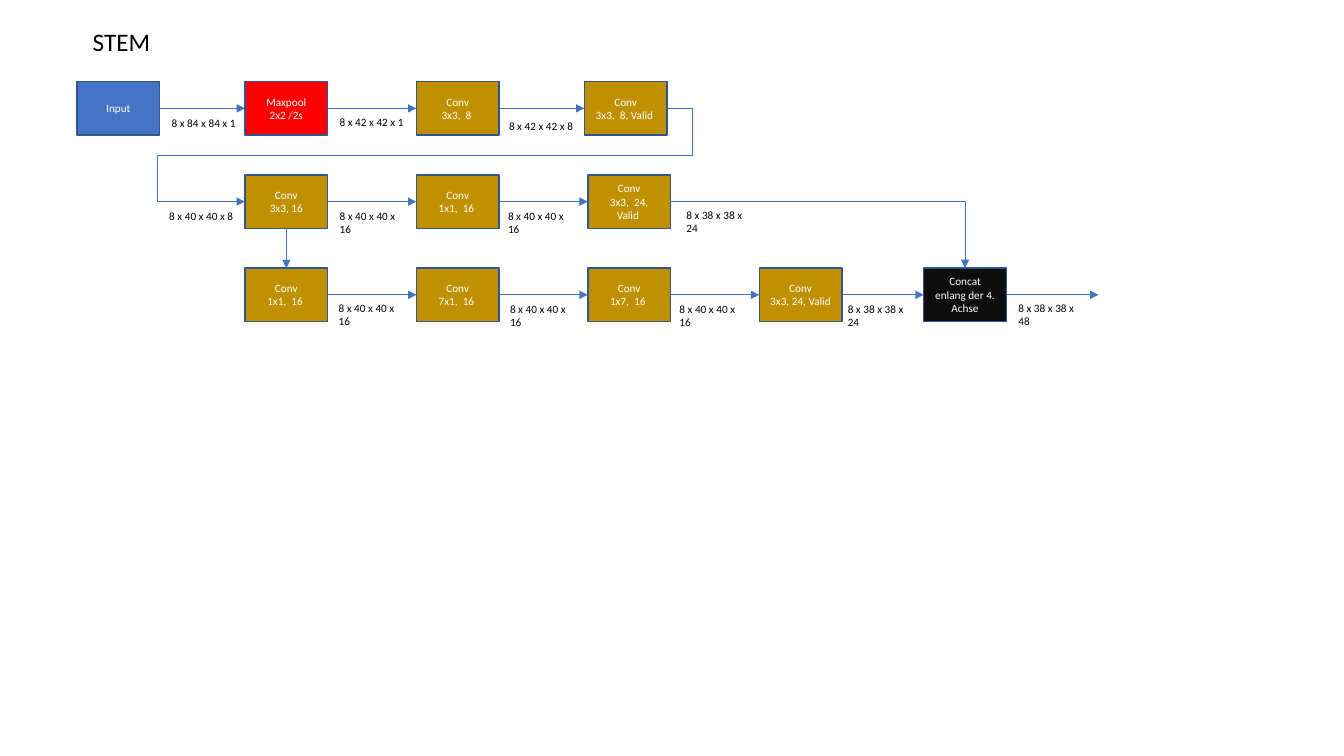
from pptx import Presentation
from pptx import util as u
from pptx.dml.color import RGBColor
from pptx.enum import shapes, text
from pptx.oxml.ns import qn
from lxml import etree

BLUE, RED, GOLD, BLACK = "4472C4", "FF0000", "BF9000", "0D0D0D"
BORDER, WHITE, INK = "325491", "FFFFFF", "000000"

# Grid in inches: a layer sits at the start of each column and row
GRID_LEFT, GRID_TOP = 0.73, 0.81
COLUMN, ROW = 1.7, 0.925
LAYER_W, LAYER_H = 0.82, 0.53
SIZE_W, SIZE_H = 0.85, 0.24

deck = Presentation()
deck.slide_width, deck.slide_height = u.Inches(13.33), u.Inches(7.5)
slide = deck.slides.add_slide(deck.slide_layouts[6])


def rgb(value):
    return RGBColor.from_string(value)


def column_x(column):
    return GRID_LEFT + column * COLUMN


def row_y(row):
    return GRID_TOP + row * ROW


def write(frame, words, size, color, align):
    frame.text = words
    for paragraph in frame.paragraphs:
        paragraph.alignment = align
        for run in paragraph.runs:
            run.font.size = u.Pt(size)
            run.font.name = "Calibri"
            run.font.color.rgb = rgb(color)


def label(x, y, w, h, words, size=8, wrap=True):
    box = slide.shapes.add_textbox(*map(u.Inches, (x, y, w, h)))
    box.text_frame.word_wrap = wrap
    write(box.text_frame, words, size, INK, text.PP_ALIGN.LEFT)


def layer(x, y, words, fill):
    block = slide.shapes.add_shape(
        shapes.MSO_SHAPE.RECTANGLE, *map(u.Inches, (x, y, LAYER_W, LAYER_H)))
    block.shadow.inherit = False
    block.fill.solid()
    block.fill.fore_color.rgb = rgb(fill)
    block.line.color.rgb = rgb(BORDER)
    block.line.width = u.Pt(1)
    block.text_frame.word_wrap = True
    block.text_frame.vertical_anchor = text.MSO_ANCHOR.MIDDLE
    write(block.text_frame, words, 8, WHITE, text.PP_ALIGN.CENTER)


def arrow(start, end, bend=None, adjust=()):
    kind = shapes.MSO_CONNECTOR.ELBOW if bend else shapes.MSO_CONNECTOR.STRAIGHT
    link = slide.shapes.add_connector(kind, *map(u.Inches, (*start, *end)))
    link.line.color.rgb = rgb(BLUE)
    link.line.width = u.Pt(0.5)
    etree.SubElement(link.line._get_or_add_ln(), qn("a:tailEnd"), type="triangle")
    properties = link._element.spPr
    etree.SubElement(properties, qn("a:effectLst"))
    if bend:
        geometry = properties.find(qn("a:prstGeom"))
        geometry.set("prst", bend)
        guides = geometry.find(qn("a:avLst"))
        for number, value in enumerate(adjust, 1):
            etree.SubElement(guides, qn("a:gd"), name=f"adj{number}", fmla=f"val {value}")


def layer_row(row, layers, exit_column=None):
    """Layers from left to right, each with an arrow to the next one."""
    y = row_y(row)
    next_columns = [step[0] for step in layers[1:]] + [exit_column]
    for (column, words, fill, size, dx, dy), following in zip(layers, next_columns):
        x = column_x(column)
        right, middle = x + LAYER_W, y + LAYER_H / 2
        if following is not None:
            arrow((right, middle), (column_x(following), middle))
        layer(x, y, words, fill)
        if size:
            label(right + dx, y + dy, SIZE_W, SIZE_H, size)


def row_links():
    """Arrows that lead from one row to another."""
    first, second = (row_y(row) + LAYER_H / 2 for row in (0, 1))
    third_top = row_y(2)
    arrow((column_x(2.98) + LAYER_W, first), (column_x(1), second),
          "bentConnector5", (-6000, 50000, 120800))
    label(1.58, row_y(1) + 0.29, SIZE_W, SIZE_H, "8 x 40 x 40 x 8")
    arrow((column_x(3) + LAYER_W, second), (column_x(4.96) + LAYER_W / 2, third_top),
          "bentConnector2")
    branch = column_x(1) + LAYER_W / 2
    arrow((branch, row_y(1) + LAYER_H), (branch, third_top))


# Heading
label(0.82, 0.21, 0.78, 0.4, "STEM", 18, wrap=False)

# Layers: column, words, fill, output size, and the offset of its label
layer_row(0, [
    (0.02, "Input", BLUE, "8 x 84 x 84 x 1", 0.02, 0.3),
    (1, "Maxpool\n2x2 /2s", RED, "8 x 42 x 42 x 1", 0.02, 0.29),
    (2, "Conv\n3x3,  8 ", GOLD, "8 x 42 x 42 x 8", 0, 0.32),
    (2.98, "Conv\n3x3,  8, Valid ", GOLD, None, 0, 0),
])
layer_row(1, [
    (1, "Conv\n3x3, 16", GOLD, "8 x 40 x 40 x 16", 0.02, 0.29),
    (2, "Conv\n1x1,  16 ", GOLD, "8 x 40 x 40 x 16", -0.01, 0.29),
    (3, "Conv\n3x3,  24, Valid ", GOLD, "8 x 38 x 38 x 24", 0.06, 0.28),
])
layer_row(2, [
    (1, "Conv\n1x1,  16 ", GOLD, "8 x 40 x 40 x 16", 0.01, 0.28),
    (2, "Conv\n7x1,  16 ", GOLD, "8 x 40 x 40 x 16", 0.01, 0.29),
    (3, "Conv\n1x7,  16 ", GOLD, "8 x 40 x 40 x 16", -0.01, 0.29),
    (4, "Conv\n3x3, 24, Valid ", GOLD, "8 x 38 x 38 x 24", -0.04, 0.29),
    (4.96, "Concat enlang der 4. Achse", BLACK, "8 x 38 x 38 x 48", 0.02, 0.28),
], exit_column=5.98)
row_links()

deck.save("out.pptx")
